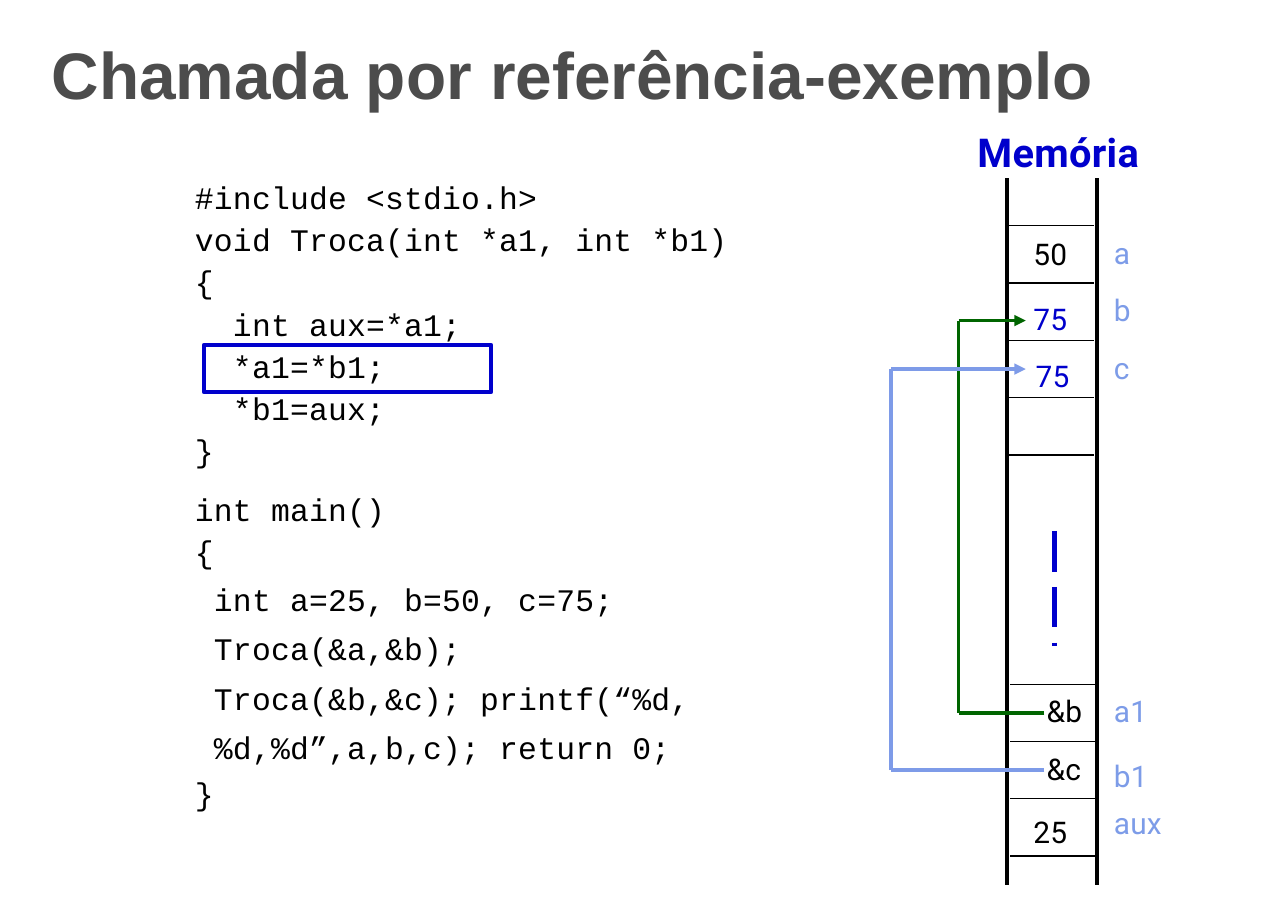
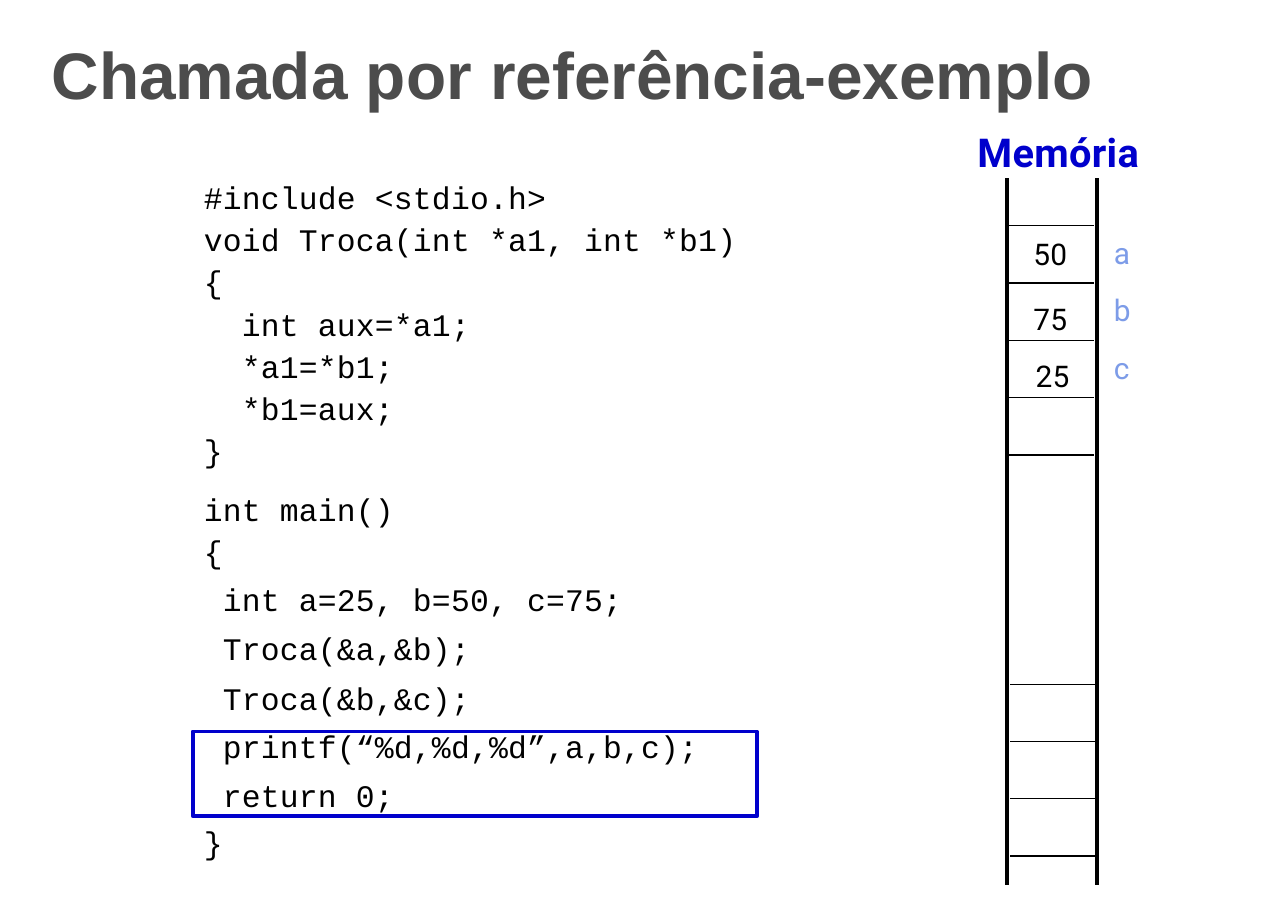
from itertools import pairwise
from lxml import etree
from pptx import Presentation
from pptx import util as u
from pptx.dml.color import RGBColor
from pptx.enum import dml, shapes, text
from pptx.oxml import ns

COLOURS = {"title": "4C4C4C", "ink": "000000", "accent": "0000CC",
           "label": "7D9CE8", "first": "006500", "second": "7E9BE8"}
TITLE = "Chamada por referência-exemplo"
MEMORY = "Memória"

LINE, BLOCK, BODY, CLOSE = 27.5, 38.5, 32.3, 30.3
SHARED_CODE = [
    ("#include <stdio.h>", LINE),
    ("void Troca(int *a1, int *b1)", LINE),
    ("{", LINE),
    ("  int aux=*a1;", LINE),
    ("  *a1=*b1;", LINE),
    ("  *b1=aux;", LINE),
    ("}", LINE),
    ("int main()", BLOCK),
    ("{", LINE),
    (" int a=25, b=50, c=75;", 31.4),
    (" Troca(&a,&b);", BODY),
]
SLIDES = [
    {
        "code_left": 1.77,
        "code": [(" Troca(&b,&c); printf(“%d,", BODY),
                 (" %d,%d”,a,b,c); return 0;", BODY), ("}", CLOSE)],
        "highlight": (1.85, 3.13, 2.61, 0.43),
        "values": [("50", 9.38, 2.14, "ink"), ("75", 9.38, 2.73, "accent"),
                   ("75", 9.4, 3.25, "accent"), ("&b", 9.5, 6.29, "ink"),
                   ("&c", 9.5, 6.81, "ink"), ("25", 9.38, 7.39, "ink")],
        "labels": [("a1", 6.29), ("b1", 6.88), ("aux", 7.3)],
        "pointers": [("first", 6.47, 8.7, 2.91), ("second", 6.99, 8.09, 3.35)],
        "gap_mark": True,
    },
    {
        "code_left": 1.85,
        "code": [(" Troca(&b,&c);", BODY), (" printf(“%d,%d,%d”,a,b,c);", 31.6),
                 (" return 0;", BODY), ("}", CLOSE)],
        "highlight": (1.75, 6.64, 5.12, 0.77),
        "values": [("50", 9.38, 2.14, "ink"), ("75", 9.38, 2.73, "ink"),
                   ("25", 9.4, 3.25, "ink")],
        "labels": [],
        "pointers": [],
        "gap_mark": False,
    },
]
SHARED_LABELS = [("a", 2.13), ("b", 2.65), ("c", 3.17)]

RAILS, RAIL_TOP, RAIL_BOTTOM = (9.14, 9.96), 1.62, 8.03
ROW_TOP, ROW_HEIGHT, CELL_WIDTH = 2.05, 0.52, 0.78
ROW_GROUPS = [(9.15, range(5)), (9.17, range(8, 12))]
LABEL_LEFT, POINTER_START, POINTER_END = 10.11, 9.48, 9.31
THICK, THIN, DASHED = 2.48, 0.83, 3.31


def colour(name):
    return RGBColor.from_string(COLOURS[name])


def add_line(page, start, end, name, width):
    line = page.shapes.add_connector(
        shapes.MSO_CONNECTOR.STRAIGHT, *(u.Inches(n) for n in (*start, *end)))
    line.line.color.rgb = colour(name)
    line.line.width = u.Pt(width)
    etree.SubElement(line._element.spPr, ns.qn("a:effectLst"))
    return line


def add_text(page, lines, left, top, width, height, font, size, name,
             bold=False, align=text.PP_ALIGN.LEFT, spacing=0.1):
    box = page.shapes.add_textbox(*(u.Inches(n) for n in (left, top, width, height)))
    frame = box.text_frame
    frame.word_wrap = True
    frame.margin_left = frame.margin_top = frame.margin_right = frame.margin_bottom = 0
    for index, (words, pitch) in enumerate(lines):
        para = frame.add_paragraph() if index else frame.paragraphs[0]
        para.alignment = align
        if pitch:
            para.line_spacing = u.Pt(pitch)
        span = para.add_run()
        span.text = words
        span.font.name, span.font.size, span.font.bold = font, u.Pt(size), bold
        span.font.color.rgb = colour(name)
        span._r.get_or_add_rPr().set("spc", str(round(spacing * 100)))


def add_cell_text(page, words, left, top, name):
    add_text(page, [(words, None)], left, top, 0.7, 0.33, "Roboto", 19.5, name)


def add_memory(page):
    add_text(page, [(MEMORY, None)], 8.34, 1.16, 2, 0.43, "Roboto", 26, "accent",
             bold=True, align=text.PP_ALIGN.RIGHT, spacing=0.2)
    for x in RAILS:
        add_line(page, (x, RAIL_TOP), (x, RAIL_BOTTOM), "ink", THICK)
    for left, rows in ROW_GROUPS:
        for row in rows:
            y = ROW_TOP + row * ROW_HEIGHT
            add_line(page, (left, y), (left + CELL_WIDTH, y), "ink", THIN)


def add_pointer(page, name, source, bend, target):
    corners = [(POINTER_START, source), (bend, source), (bend, target), (POINTER_END, target)]
    for start, end in pairwise(corners):
        line = add_line(page, start, end, name, THICK)
    etree.SubElement(line.line._get_or_add_ln(), ns.qn("a:tailEnd"), type="triangle")


def add_highlight(page, area):
    frame = page.shapes.add_shape(shapes.MSO_SHAPE.RECTANGLE, *(u.Inches(n) for n in area))
    frame.shadow.inherit = False
    frame.fill.background()
    frame.line.color.rgb = colour("accent")
    frame.line.width = u.Pt(THICK)
    etree.SubElement(frame.line._get_or_add_ln(), ns.qn("a:round"))


def build_slide(deck, content):
    page = deck.slides.add_slide(deck.slide_layouts[6])
    add_text(page, [(TITLE, None)], 0.47, 0.31, 10.2, 0.72, "Arial", 43, "title",
             bold=True, spacing=0)
    add_memory(page)
    if content["gap_mark"]:
        mark = add_line(page, (9.57, 4.82), (9.57, 5.86), "accent", DASHED)
        mark.line.dash_style = dml.MSO_LINE.LONG_DASH
    add_highlight(page, content["highlight"])
    add_text(page, SHARED_CODE + content["code"], content["code_left"], 1.58, 5.6, 6.2,
             "Courier New", 20.5, "ink", spacing=0.15)
    for words, left, top, name in content["values"]:
        add_cell_text(page, words, left, top, name)
    for words, top in SHARED_LABELS + content["labels"]:
        add_cell_text(page, words, LABEL_LEFT, top, "label")
    for pointer in content["pointers"]:
        add_pointer(page, *pointer)


def main():
    deck = Presentation()
    deck.slide_width, deck.slide_height = u.Inches(11.69), u.Inches(8.26)
    for content in SLIDES:
        build_slide(deck, content)
    deck.save("out.pptx")


if __name__ == "__main__":
    main()
